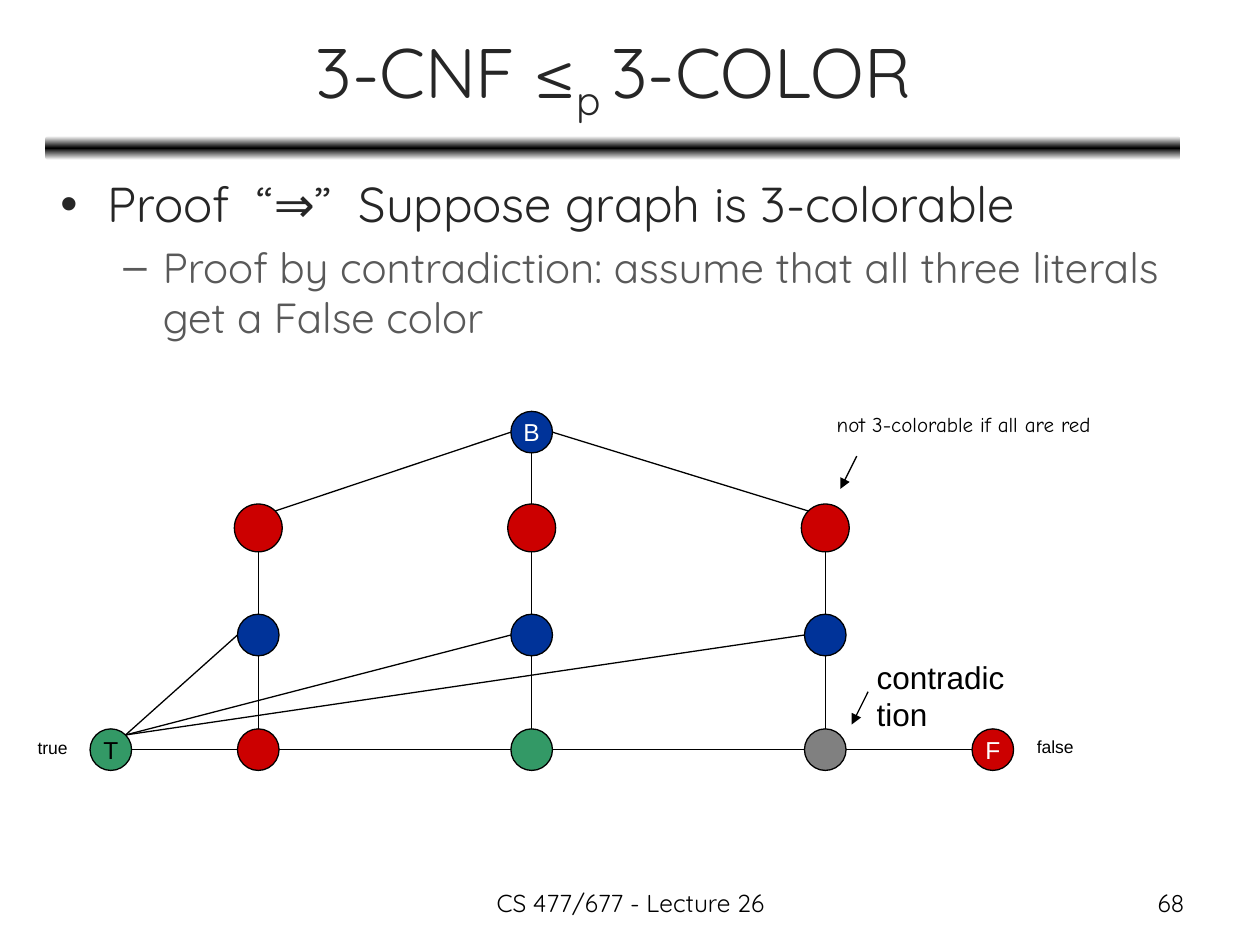
from copy import deepcopy
from math import sqrt

from pptx import Presentation
from pptx import util as u
from pptx.dml.color import RGBColor
from pptx.enum import shapes, text
from pptx.oxml.ns import qn
from lxml import etree

BLACK = RGBColor(0x00, 0x00, 0x00)
WHITE = RGBColor(0xFF, 0xFF, 0xFF)
INK = RGBColor(0x26, 0x26, 0x26)
SOFT_INK = RGBColor(0x59, 0x59, 0x59)
BLUE = RGBColor(0x00, 0x33, 0x99)
RED = RGBColor(0xCC, 0x00, 0x00)
GREEN = RGBColor(0x33, 0x99, 0x66)
GRAY = RGBColor(0x80, 0x80, 0x80)

# Title spans: wording, is it a subscript
TITLE = [("3-CNF ≤", False), ("p ", True), ("3-COLOR", False)]
# Body lines: wording, level, size, colour
BODY = [
    ("Proof  “⇒”  Suppose graph is 3-colorable", 0, 28, INK),
    ("Proof by contradiction: assume that all three literals get a False color",
     1, 24, SOFT_INK),
]

# Grid of node centres, in inches
COLUMNS = {"true": 0.88, "x": 2.05, "y": 4.22, "z": 6.55, "false": 7.88}
ROWS = {"base": 3.43, "upper": 4.19, "middle": 5.04, "literal": 5.95}
SMALL, LARGE = 0.33, 0.38

# (column, row): fill, diameter, label, label colour
NODES = {
    ("y", "base"): (BLUE, SMALL, "B", WHITE),
    **{(c, "upper"): (RED, LARGE, "", WHITE) for c in "xyz"},
    **{(c, "middle"): (BLUE, SMALL, "", WHITE) for c in "xyz"},
    ("true", "literal"): (GREEN, SMALL, "T", BLACK),
    ("x", "literal"): (RED, SMALL, "", WHITE),
    ("y", "literal"): (GREEN, SMALL, "", WHITE),
    ("z", "literal"): (GRAY, SMALL, "", WHITE),
    ("false", "literal"): (RED, SMALL, "F", WHITE),
}

D = sqrt(0.5)
SIDES = {"top": (0, -1), "bottom": (0, 1), "left": (-1, 0), "right": (1, 0),
         "top left": (-D, -D), "top right": (D, -D)}

# Edges: node, side, node, side
EDGES = [
    (("y", "base"), "left", ("x", "upper"), "top right"),
    (("y", "base"), "bottom", ("y", "upper"), "top"),
    (("y", "base"), "right", ("z", "upper"), "top left"),
]
for column in "xyz":
    EDGES += [
        ((column, "upper"), "bottom", (column, "middle"), "top"),
        ((column, "middle"), "bottom", (column, "literal"), "top"),
        (("true", "literal"), "top right", (column, "middle"), "left"),
    ]
names = list(COLUMNS)
EDGES += [((a, "literal"), "right", (b, "literal"), "left")
          for a, b in zip(names, names[1:])]

ARROWS = [((6.8, 3.62), (6.67, 3.88)), ((6.89, 5.49), (6.76, 5.75))]

LEFT, CENTER, RIGHT = (text.PP_ALIGN.LEFT, text.PP_ALIGN.CENTER,
                       text.PP_ALIGN.RIGHT)
# Labels: wording, box, font, size, alignment, wraps, has margins
LABELS = [
    ("not 3-colorable if all are red", (6.64, 3.27, 2.22, 0.23),
     "Comic Neue", 12, LEFT, False, False),
    ("true", (0.2, 5.8, 0.47, 0.3), "Arial", 10, LEFT, False, True),
    ("false", (8.13, 5.79, 0.51, 0.3), "Arial", 10, LEFT, False, True),
    ("contradiction", (6.86, 5.17, 1.23, 0.34), "Arial", 18, LEFT, True, True),
    ("CS 477/677 - Lecture 26", (3.42, 7, 3.17, 0.35),
     "Quicksand", 14, CENTER, True, True),
    ("68", (7.17, 7, 2.33, 0.35), "Quicksand", 14, RIGHT, True, True),
]


def inches(values):
    return [u.Inches(v) for v in values]


def style(font, name, size, color):
    for key, value in {"name": name, "size": u.Pt(size)}.items():
        setattr(font, key, value)
    font.color.rgb = color


def place(shape, box):
    for key, value in zip(("left", "top", "width", "height"), inches(box)):
        setattr(shape, key, value)


def add_line(page, start, end, arrow=False):
    line = page.shapes.add_connector(shapes.MSO_CONNECTOR.STRAIGHT,
                                     *inches(start + end))
    line.line.color.rgb = BLACK
    line.line.width = u.Pt(0.75)
    if arrow:
        etree.SubElement(line.line._get_or_add_ln(), qn("a:tailEnd"),
                         type="triangle")
    etree.SubElement(line._element.spPr, qn("a:effectLst"))


def rim(node, side):
    """Point on a node's outline in the given direction."""
    radius = NODES[node][1] / 2
    dx, dy = SIDES[side]
    return COLUMNS[node[0]] + radius * dx, ROWS[node[1]] + radius * dy


def add_node(page, node):
    fill, size, label, color = NODES[node]
    box = (COLUMNS[node[0]] - size / 2, ROWS[node[1]] - size / 2, size, size)
    circle = page.shapes.add_shape(shapes.MSO_SHAPE.OVAL, *inches(box))
    circle.shadow.inherit = False
    circle.fill.solid()
    circle.fill.fore_color.rgb = fill
    circle.line.color.rgb = BLACK
    circle.line.width = u.Pt(0.75)
    if label:
        frame = circle.text_frame
        frame.word_wrap = False
        frame.vertical_anchor = text.MSO_ANCHOR.MIDDLE
        para = frame.paragraphs[0]
        para.alignment = CENTER
        span = para.add_run()
        span.text = label
        style(span.font, "Arial", 14, color)


def add_rule(page):
    """Bar under the title, fading from white to black and back."""
    bar = page.shapes.add_shape(shapes.MSO_SHAPE.ROUNDED_RECTANGLE,
                                *inches((0.36, 1.08, 9.01, 0.19)))
    bar.shadow.inherit = False
    bar.line.fill.background()
    bar.fill.gradient()
    bar.fill.gradient_angle = 90
    stop_list = bar._element.spPr.find(".//" + qn("a:gsLst"))
    stop_list.append(deepcopy(stop_list[-1]))
    for stop, position, color in zip(bar.fill.gradient_stops, (0, 0.5, 1),
                                     (WHITE, BLACK, WHITE)):
        stop.position = position
        stop.color.rgb = color


def add_label(page, wording, box, font, size, align, wraps, margins):
    frame = page.shapes.add_textbox(*inches(box)).text_frame
    frame.word_wrap = wraps
    if not margins:
        for side in ("left", "top", "right", "bottom"):
            setattr(frame, "margin_" + side, 0)
    para = frame.paragraphs[0]
    para.alignment = align
    span = para.add_run()
    span.text = wording
    style(span.font, font, size, BLACK)


def main():
    deck = Presentation()
    deck.slide_width, deck.slide_height = inches((10, 7.5))
    page = deck.slides.add_slide(deck.slide_layouts[1])
    add_rule(page)

    title, body = page.placeholders
    place(title, (0.37, 0.11, 9, 0.99))
    for wording, subscript in TITLE:
        span = title.text_frame.paragraphs[0].add_run()
        span.text = wording
        style(span.font, "Quicksand", 40, INK)
        if subscript:
            span.font._element.set("baseline", "-25000")

    place(body, (0.38, 1.33, 9, 5.55))
    frame = body.text_frame
    for i, (wording, level, size, color) in enumerate(BODY):
        para = frame.add_paragraph() if i else frame.paragraphs[0]
        para.level = level
        if i == 0:
            para.space_before = u.Pt(0)
        span = para.add_run()
        span.text = wording
        style(span.font, "Quicksand", size, color)

    for a, side_a, b, side_b in EDGES:
        add_line(page, rim(a, side_a), rim(b, side_b))
    for node in NODES:
        add_node(page, node)
    for start, end in ARROWS:
        add_line(page, start, end, arrow=True)
    for label in LABELS:
        add_label(page, *label)
    deck.save("out.pptx")


if __name__ == "__main__":
    main()
